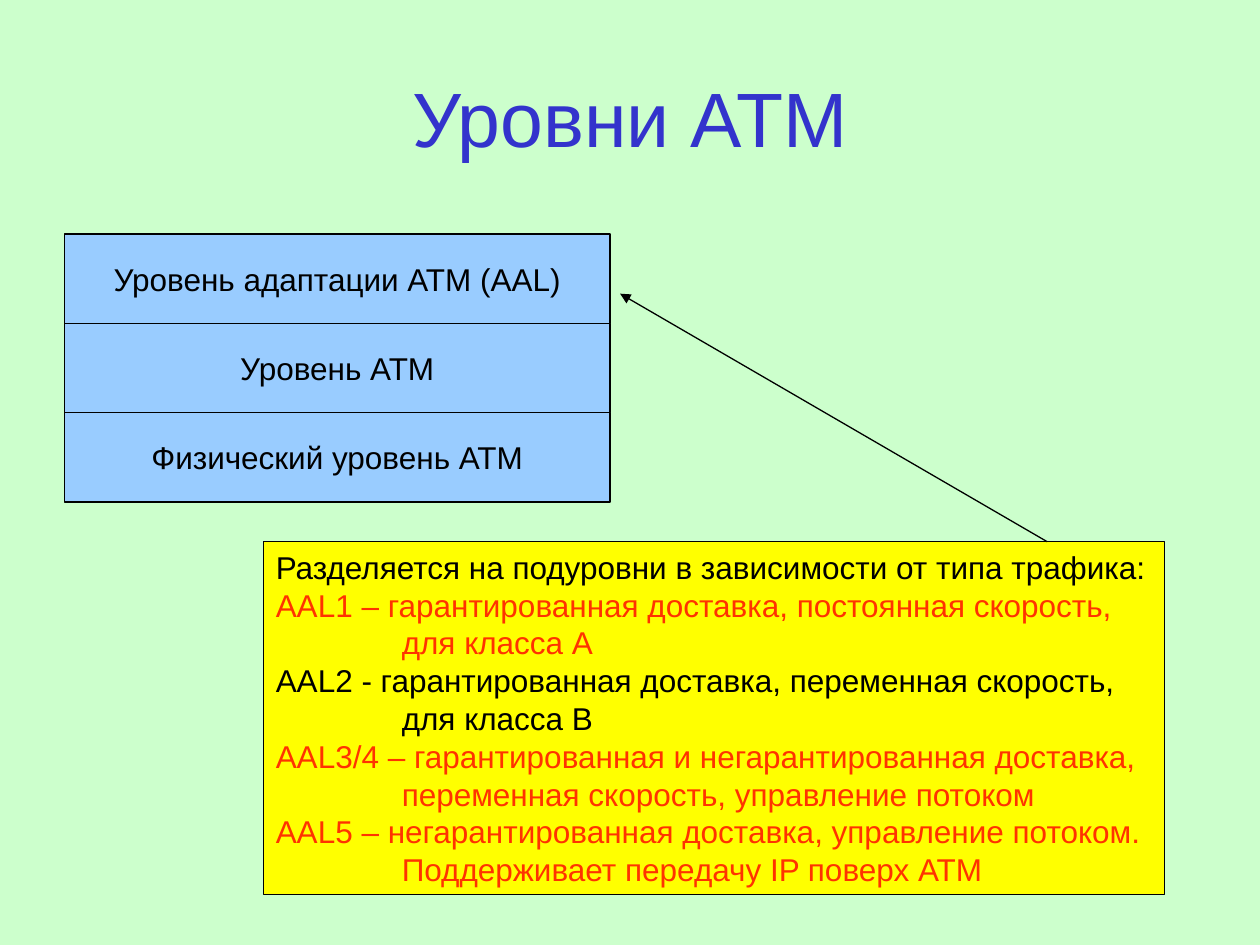
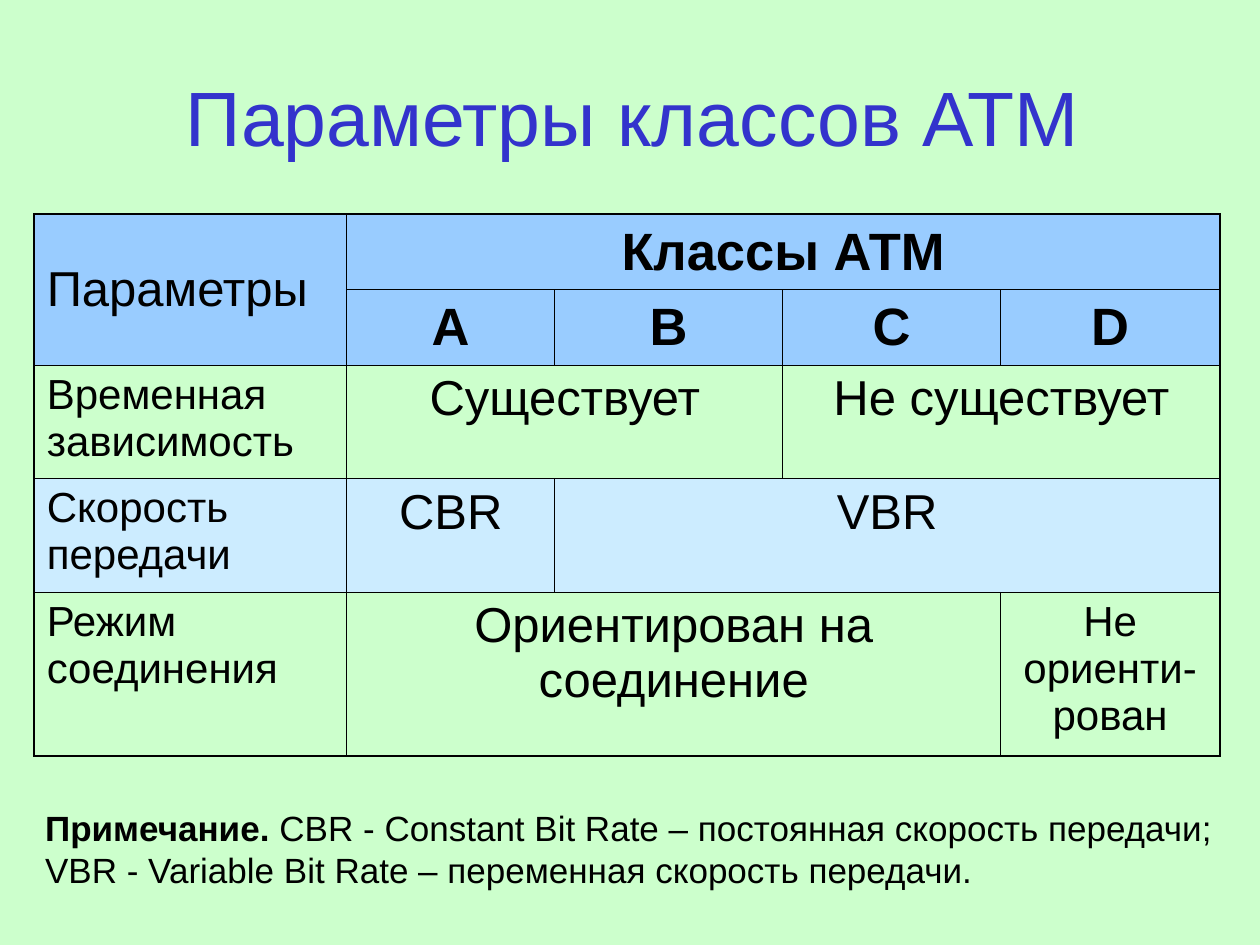
from itertools import product

from lxml import etree
from pptx import Presentation
from pptx.dml.color import RGBColor
from pptx.enum.shapes import MSO_CONNECTOR, MSO_SHAPE
from pptx.enum.text import MSO_ANCHOR, MSO_AUTO_SIZE, PP_ALIGN
from pptx.oxml.ns import qn
from pptx.util import Cm, Pt

LEFT, CENTER = PP_ALIGN.LEFT, PP_ALIGN.CENTER
TOP, MIDDLE = MSO_ANCHOR.TOP, MSO_ANCHOR.MIDDLE
FIT, FIXED = MSO_AUTO_SIZE.SHAPE_TO_FIT_TEXT, MSO_AUTO_SIZE.NONE
RECT, STRAIGHT = MSO_SHAPE.RECTANGLE, MSO_CONNECTOR.STRAIGHT

FONT = "Arial"
GREEN, BLUE, PALE, YELLOW = "CCFFCC", "99CCFF", "CCECFF", "FFFF00"
BLACK, RED, INDIGO = "000000", "FF3300", "3333CC"
THIN, THICK = 0.45, 1.08
PLAIN_STYLE = "{2D5ABB26-0587-4C30-8999-92F81FD0307C}"

LAYERS = ["Уровень адаптации АТМ (AAL)", "Уровень АТМ", "Физический уровень АТМ"]

# Colour, first line, indented line
TYPES = [
    (RED, "AAL1 – гарантированная доставка, постоянная скорость,", "для класса А"),
    (BLACK, "AAL2 - гарантированная доставка, переменная скорость,", "для класса B"),
    (RED, "AAL3/4 – гарантированная и негарантированная доставка,",
     "переменная скорость, управление потоком"),
    (RED, "AAL5 – негарантированная доставка, управление потоком.",
     "Поддерживает передачу IP поверх АТМ"),
]

COLS = [6.3, 4.19, 4.6, 4.39, 4.42]
ROWS = [1.52, 1.52, 2.29, 2.29, 3.3]
FILLS = [BLUE, BLUE, None, PALE, None]

# Row, column, rows spanned, columns spanned, text, size
BLOCKS = [
    (0, 0, 2, 1, "Параметры", 28),
    (0, 1, 1, 4, "Классы АТМ", 30),
    *[(1, col, 1, 1, name, 30) for col, name in enumerate("ABCD", 1)],
    (2, 0, 1, 1, "Временная зависимость", 24),
    (2, 1, 1, 2, "Существует", 28),
    (2, 3, 1, 2, "Не существует", 28),
    (3, 0, 1, 1, "Скорость передачи", 24),
    (3, 1, 1, 1, "СBR", 28),
    (3, 2, 1, 3, "VBR", 28),
    (4, 0, 1, 1, "Режим соединения", 24),
    (4, 1, 1, 3, "Ориентирован на соединение", 28),
    (4, 4, 1, 1, "Не ориенти-рован", 24),
]


def rgb(code):
    return RGBColor.from_string(code)


def place(shape, left, top, width, height):
    shape.left, shape.top = Cm(left), Cm(top)
    shape.width, shape.height = Cm(width), Cm(height)


def add_run(para, text, size, color=BLACK, bold=False):
    run = para.add_run()
    run.text = text
    font = run.font
    font.name, font.size, font.bold = FONT, Pt(size), bold
    font.color.rgb = rgb(color)


def next_para(frame):
    """Return the first paragraph while it is empty, then new ones."""
    first = frame.paragraphs[0]
    return frame.add_paragraph() if first.runs else first


def add_line(frame, text, size, color=BLACK, align=LEFT, indent=0):
    para = next_para(frame)
    para.alignment = align
    if indent:
        props = para._p.get_or_add_pPr()
        props.set("marL", str(Cm(indent)))
        props.set("indent", "0")
    add_run(para, text, size, color)


def add_slide(prs, title, box):
    slide = prs.slides.add_slide(prs.slide_layouts[5])
    head = slide.shapes.title
    place(head, *box)
    frame = head.text_frame
    frame.auto_size, frame.vertical_anchor = FIXED, MIDDLE
    add_line(frame, title, 44, INDIGO, CENTER)
    return slide


def add_box(slide, box, fill, anchor):
    shape = slide.shapes.add_shape(RECT, *map(Cm, box))
    shape.shadow.inherit = False
    shape.fill.solid()
    shape.fill.fore_color.rgb = rgb(fill)
    shape.line.color.rgb = rgb(BLACK)
    shape.line.width = Pt(0.75)
    frame = shape.text_frame
    frame.word_wrap, frame.vertical_anchor = False, anchor
    return frame


def add_arrow(slide, start, end):
    arrow = slide.shapes.add_connector(STRAIGHT, *map(Cm, start + end))
    arrow.line.color.rgb = rgb(BLACK)
    arrow.line.width = Pt(0.75)
    etree.SubElement(arrow.line._get_or_add_ln(), qn("a:tailEnd"), type="triangle")
    etree.SubElement(arrow._element.spPr, qn("a:effectLst"))


def add_edge(cell, side, width):
    props = cell._tc.get_or_add_tcPr()
    line = etree.SubElement(props, qn("a:ln" + side), w=str(Pt(width)))
    fill = etree.SubElement(line, qn("a:solidFill"))
    etree.SubElement(fill, qn("a:srgbClr"), val=BLACK)


def style_block(table, row, col, high, wide):
    """Rule the rim of a block of cells, heavier at the table's rim, and fill it."""
    last_row, last_col = row + high - 1, col + wide - 1
    for r, c in product(range(row, last_row + 1), range(col, last_col + 1)):
        cell = table.cell(r, c)
        first = (r, c) == (row, col)
        edges = [
            ("L", c == col, col == 0),
            ("R", c == last_col, last_col == len(COLS) - 1),
            ("T", r == row, row == 0),
            ("B", r == last_row, last_row == len(ROWS) - 1),
        ]
        for side, on_rim, outer in edges:
            if first or on_rim:
                add_edge(cell, side, THICK if outer else THIN)
        if FILLS[row]:
            cell.fill.solid()
            cell.fill.fore_color.rgb = rgb(FILLS[row])
        else:
            cell.fill.background()


def add_grid(slide, left, top):
    box = map(Cm, (left, top, sum(COLS), sum(ROWS)))
    table = slide.shapes.add_table(len(ROWS), len(COLS), *box).table
    table.first_row = table.horz_banding = False
    table._tbl.tblPr[0].text = PLAIN_STYLE
    for col, width in zip(table.columns, COLS):
        col.width = Cm(width)
    for row, height in zip(table.rows, ROWS):
        row.height = Cm(height)
    for row, col, high, wide, text, size in BLOCKS:
        cell = table.cell(row, col)
        if high * wide > 1:
            cell.merge(table.cell(row + high - 1, col + wide - 1))
        style_block(table, row, col, high, wide)
        cell.vertical_anchor = MIDDLE if row < 2 else TOP
        para = cell.text_frame.paragraphs[0]
        para.alignment = CENTER if col else LEFT
        para.space_before = Pt(size / 4)
        add_run(para, text, size, bold=size == 30)


def add_note(slide, box):
    frame = slide.shapes.add_textbox(*map(Cm, box)).text_frame
    frame.word_wrap, frame.auto_size = False, FIT
    para = next_para(frame)
    add_run(para, "Примечание.", 20, bold=True)
    add_run(para, " СBR - Constant Bit Rate – постоянная скорость передачи;", 20)
    add_line(frame, "VBR - Variable Bit Rate – переменная скорость передачи.", 20)


def show_layers(prs):
    slide = add_slide(prs, "Уровни АТМ", (1.27, 0.76, 22.86, 3.18))
    for i, name in enumerate(LAYERS):
        frame = add_box(slide, (1.3, 4.72 + 1.8 * i, 11, 1.8), BLUE, MIDDLE)
        add_line(frame, name, 18, align=CENTER)
    frame = add_box(slide, (5.31, 10.92, 18.16, 7.11), YELLOW, TOP)
    frame.auto_size = FIT
    add_line(frame, "Разделяется на подуровни в зависимости от типа трафика:", 18)
    for color, text, more in TYPES:
        add_line(frame, text, 18, color)
        add_line(frame, more, 18, color, indent=2.54)
    add_arrow(slide, (21.11, 10.92), (12.5, 5.92))


def show_classes(prs):
    slide = add_slide(prs, "Параметры классов АТМ", (1.42, 1.35, 22.68, 1.96))
    add_grid(slide, 0.69, 4.32)
    add_note(slide, (0.66, 16.13, 24.08, 1.96))


def main():
    prs = Presentation()
    prs.slide_width, prs.slide_height = Cm(25.4), Cm(19.05)
    back = prs.slide_master.background.fill
    back.solid()
    back.fore_color.rgb = rgb(GREEN)
    show_layers(prs)
    show_classes(prs)
    prs.save("out.pptx")


if __name__ == "__main__":
    main()
